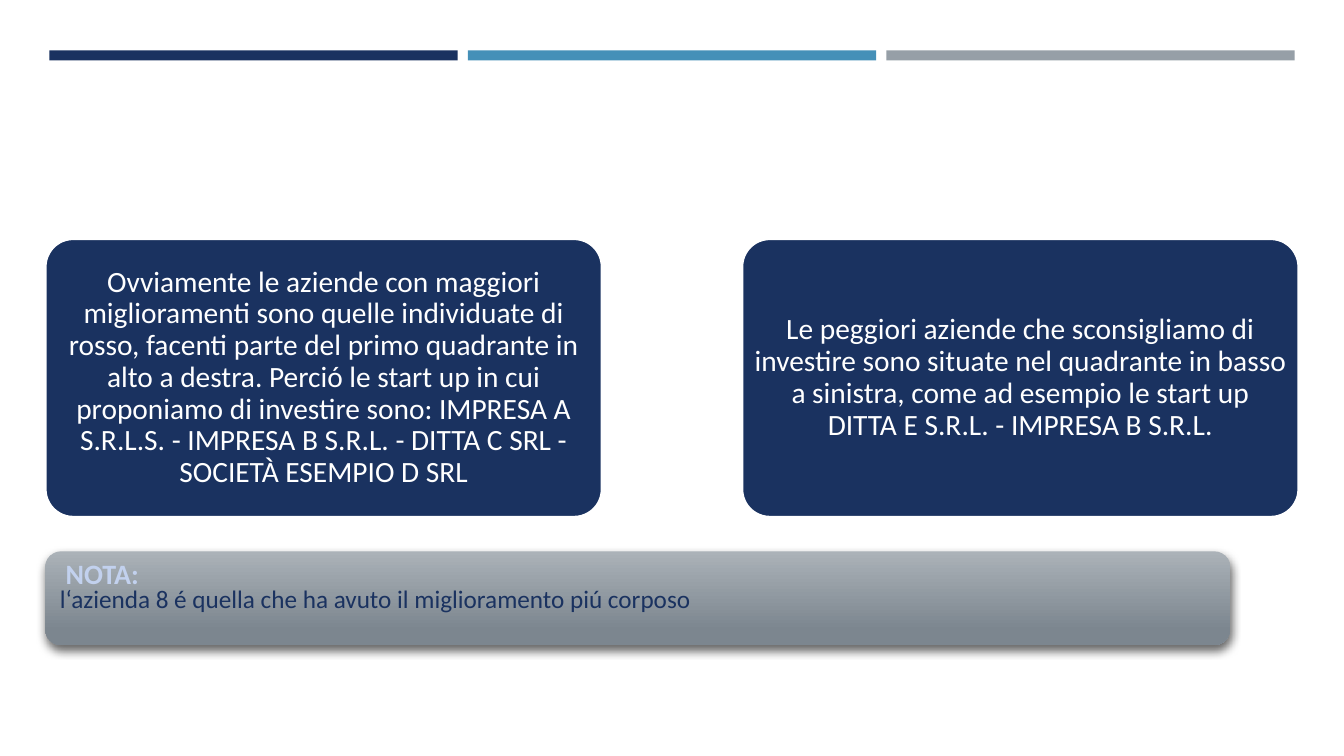
import pptx
import pptx.util
import pptx.dml.color
import pptx.enum.dml
import pptx.enum.shapes
import pptx.enum.text
import pptx.oxml
import pptx.oxml.ns
from dataclasses import dataclass

CARDS = [
    "Ovviamente le aziende con maggiori miglioramenti sono quelle individuate di "
    "rosso, facenti parte del primo quadrante in alto a destra. Perció le start up "
    "in cui proponiamo di investire sono: IMPRESA A S.R.L.S. - IMPRESA B S.R.L. - "
    "DITTA C SRL - SOCIETÀ ESEMPIO D SRL",
    "Le peggiori aziende che sconsigliamo di investire sono situate nel quadrante "
    "in basso a sinistra, come ad esempio le start up DITTA E S.R.L. - IMPRESA B S.R.L.",
]
LABEL = "NOTA:"
NOTE = "l‘azienda 8 é quella che ha avuto il miglioramento piú corposo"


@dataclass(frozen=True)
class Theme:
    face: str = "Calibri"
    navy: str = "1A3260"
    blue: str = "4590B8"
    gray: str = "969FA7"
    white: str = "FFFFFF"
    pale: str = "C2D1EE"
    light: str = "ABB2B8"
    dark: str = "7C868F"
    card: int = 21
    label: int = 20
    note: int = 18


T = Theme()
Inches, Pt = pptx.util.Inches, pptx.util.Pt
RGB = pptx.dml.color.RGBColor.from_string
Kind = pptx.enum.shapes.MSO_SHAPE
Align = pptx.enum.text.PP_ALIGN
Anchor = pptx.enum.text.MSO_ANCHOR

WIDE, HIGH = 13.33, 7.5
LEFT = 0.45
BAR_LEFT, BAR_TOP, BAR_W, BAR_H, BAR_GAP = 0.49, 0.5, 4.05, 0.1, 0.1
CARD_TOP, CARD_W, CARD_H, CARD_GAP = 2.37, 5.52, 2.76, 1.39
NOTE_TOP, NOTE_W, NOTE_H = 5.47, 11.75, 0.93
LABEL_W, LABEL_H = 1.13, 0.44


def xml(text):
    return pptx.oxml.parse_xml(
        text.replace(">", f' {pptx.oxml.ns.nsdecls("a")}>', 1))


def add_box(slide, kind, box, color=None):
    shape = slide.shapes.add_shape(kind, *map(Inches, box))
    shape.shadow.inherit = False
    shape.line.fill.background()
    if color:
        shape.fill.solid()
        shape.fill.fore_color.rgb = RGB(color)
    return shape


def write(shape, text, size, color=None, align=Align.CENTER):
    frame = shape.text_frame
    frame.word_wrap = True
    frame.vertical_anchor = Anchor.MIDDLE
    para = frame.paragraphs[0]
    para.text = text
    para.alignment = align
    para.font.name = T.face
    para.font.size = Pt(size)
    if color:
        para.font.color.rgb = RGB(color)
    return para


def add_bars(slide):
    for i, color in enumerate((T.navy, T.blue, T.gray)):
        left = BAR_LEFT + i * (BAR_W + BAR_GAP)
        add_box(slide, Kind.RECTANGLE, (left, BAR_TOP, BAR_W, BAR_H), color)


def add_cards(slide):
    for i, text in enumerate(CARDS):
        left = LEFT + i * (CARD_W + CARD_GAP)
        card = add_box(slide, Kind.ROUNDED_RECTANGLE,
                       (left, CARD_TOP, CARD_W, CARD_H), T.navy)
        card.adjustments[0] = 0.1
        card.line.color.rgb = RGB(T.white)
        card.line.width = Pt(1.75)
        frame = card.text_frame
        frame.margin_left = frame.margin_right = Inches(0.04)
        frame.margin_top = frame.margin_bottom = Inches(0.03)
        write(card, text, T.card, T.white).line_spacing = 0.9


def add_note(slide):
    note = add_box(slide, Kind.ROUNDED_RECTANGLE,
                   (LEFT, NOTE_TOP, NOTE_W, NOTE_H))
    note.fill.gradient()
    note.fill.gradient_angle = 270
    shades = ((0, T.light), (0.84, T.dark))
    for stop, (place, color) in zip(note.fill.gradient_stops, shades):
        stop.position = place
        stop.color.rgb = RGB(color)
    effects = note._element.spPr.find(pptx.oxml.ns.qn("a:effectLst"))
    effects.append(xml(
        f'<a:outerShdw blurRad="{Pt(7)}" dist="{Pt(3)}" dir="{84 * 60000}" '
        'rotWithShape="0"><a:srgbClr val="000000"><a:alpha val="60000"/>'
        '</a:srgbClr></a:outerShdw>'))
    write(note, NOTE, T.note, T.navy, Align.LEFT)


def add_label(slide):
    box = slide.shapes.add_textbox(
        *map(Inches, (LEFT, NOTE_TOP, LABEL_W, LABEL_H)))
    para = write(box, LABEL, T.label)
    para.font.bold = True
    frame = box.text_frame
    frame.word_wrap = False
    frame.vertical_anchor = Anchor.TOP
    frame.auto_size = pptx.enum.text.MSO_AUTO_SIZE.SHAPE_TO_FIT_TEXT
    run = para.runs[0]
    fill = run.font.fill
    fill.patterned()
    fill.pattern = pptx.enum.dml.MSO_PATTERN.PERCENT_50
    fill.fore_color.rgb = RGB(T.navy)
    fill.back_color.rgb = RGB(T.pale)
    run._r.get_or_add_rPr().insert(0, xml(
        f'<a:ln w="{Pt(1)}"><a:solidFill><a:srgbClr val="{T.navy}"/>'
        '</a:solidFill></a:ln>'))


def main():
    deck = pptx.Presentation()
    deck.slide_width, deck.slide_height = Inches(WIDE), Inches(HIGH)
    slide = deck.slides.add_slide(deck.slide_layouts[6])
    add_bars(slide)
    add_cards(slide)
    add_note(slide)
    add_label(slide)
    deck.save("out.pptx")


if __name__ == "__main__":
    main()
